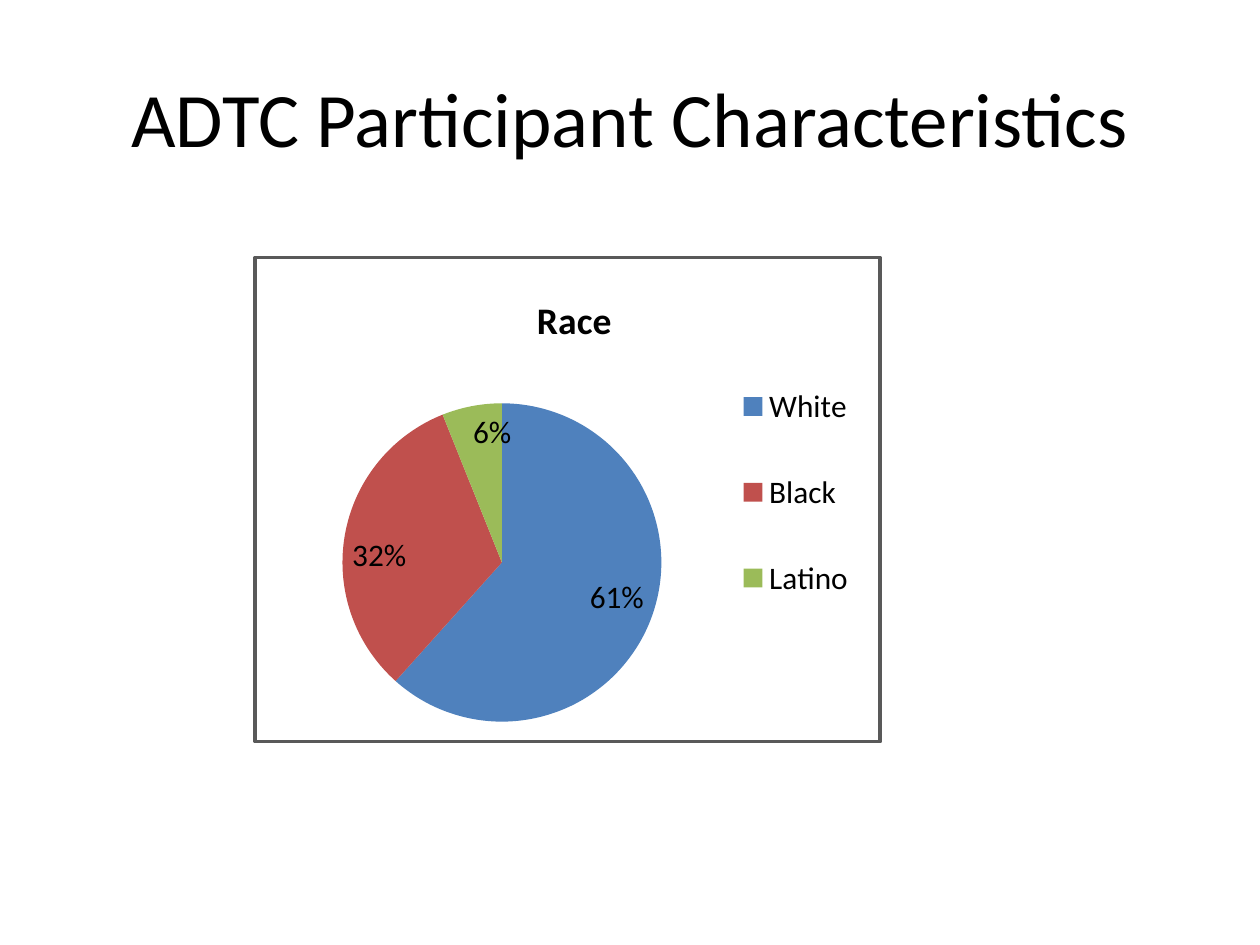
from dataclasses import dataclass

from lxml.etree import SubElement
from pptx import Presentation
from pptx.chart.data import CategoryChartData
from pptx.dml.color import RGBColor
from pptx.enum.chart import XL_CHART_TYPE, XL_LABEL_POSITION, XL_LEGEND_POSITION
from pptx.enum.text import MSO_ANCHOR, PP_ALIGN
from pptx.oxml import parse_xml
from pptx.oxml.ns import nsdecls, qn
from pptx.util import Pt

COLORS = {"text": "000000", "border": "595959",
          "White": "4F81BD", "Black": "C0504D", "Latino": "9BBB59"}


@dataclass
class Group:
    name: str
    percent: int


GROUPS = [Group("White", 61), Group("Black", 32), Group("Latino", 6)]


def rgb(name: str) -> RGBColor:
    return RGBColor.from_string(COLORS[name])


def set_font(font, size: float, bold: bool = False) -> None:
    for key, value in {"name": "Calibri", "size": Pt(size), "bold": bold}.items():
        setattr(font, key, value)
    font.color.rgb = rgb("text")


def place(parent, after: str, inner: bool = False, **fractions: float) -> None:
    """Position a chart part by fractions of the chart area."""
    for old in parent.findall(qn("c:layout")):
        parent.remove(old)
    layout = parse_xml(f"<c:layout {nsdecls('c')}/>")
    manual = SubElement(layout, qn("c:manualLayout"))
    settings = {"layoutTarget": "inner"} if inner else {}
    settings |= {"xMode": "edge", "yMode": "edge"} | fractions
    for tag, value in settings.items():
        SubElement(manual, qn(f"c:{tag}")).set("val", str(value))
    if after:
        parent.find(qn(after)).addnext(layout)
    else:
        parent.insert(0, layout)


def add_title(s, text: str) -> None:
    title = s.shapes.title
    box = {"left": 36, "top": 21.6, "width": 648, "height": 90}
    for key, value in box.items():
        setattr(title, key, Pt(value))
    tf = title.text_frame
    tf.text = text
    tf.vertical_anchor = MSO_ANCHOR.MIDDLE
    p = tf.paragraphs[0]
    p.alignment = PP_ALIGN.CENTER
    set_font(p.runs[0].font, 44)


def add_pie(s, name: str, groups: list[Group]) -> None:
    data = CategoryChartData(number_format='0"%"')
    data.categories = [g.name for g in groups]
    data.add_series("Series 1", [g.percent for g in groups])
    chart = s.shapes.add_chart(XL_CHART_TYPE.PIE, Pt(144.7), Pt(146.2),
                               Pt(359.3), Pt(278.6), data).chart
    set_font(chart.font, 18)

    # Chart title
    chart.has_title = True
    tf = chart.chart_title.text_frame
    tf.text = name
    set_font(tf.paragraphs[0].runs[0].font, 21.6, bold=True)
    chart.chart_title.include_in_layout = False
    space = chart.element
    place(space.find(".//" + qn("c:title")), "c:tx", x=0.44, y=0.06)

    # Slices and labels
    plot = chart.plots[0]
    plot.vary_by_categories = True
    for i, g in enumerate(groups):
        fill = plot.series[0].points[i].format.fill
        fill.solid()
        fill.fore_color.rgb = rgb(g.name)
    plot.has_data_labels = True
    labels = plot.data_labels
    formats = {"show_value": True, "number_format": '0"%"',
               "number_format_is_linked": False,
               "position": XL_LABEL_POSITION.INSIDE_END}
    for key, value in formats.items():
        setattr(labels, key, value)
    set_font(labels.font, 18)
    place(space.find(".//" + qn("c:plotArea")), "", inner=True,
          x=0.14, y=0.3, w=0.51, h=0.66)

    # Legend
    chart.has_legend = True
    chart.legend.position = XL_LEGEND_POSITION.RIGHT
    chart.legend.include_in_layout = False
    set_font(chart.legend.font, 18)
    place(space.find(".//" + qn("c:legend")), "c:legendPos",
          x=0.76, y=0.17, w=0.21, h=0.63)

    # Border of the chart area
    space.find(qn("c:chart")).addnext(parse_xml(
        f"<c:spPr {nsdecls('c', 'a')}><a:noFill/><a:ln w=\"{Pt(2)}\"><a:solidFill>"
        f"<a:srgbClr val=\"{COLORS['border']}\"/></a:solidFill></a:ln></c:spPr>"))


def main() -> None:
    prs = Presentation()
    prs.slide_width, prs.slide_height = Pt(720), Pt(540)
    s = prs.slides.add_slide(prs.slide_layouts[5])
    add_title(s, "ADTC Participant Characteristics")
    add_pie(s, "Race", GROUPS)
    prs.save("out.pptx")


if __name__ == "__main__":
    main()
